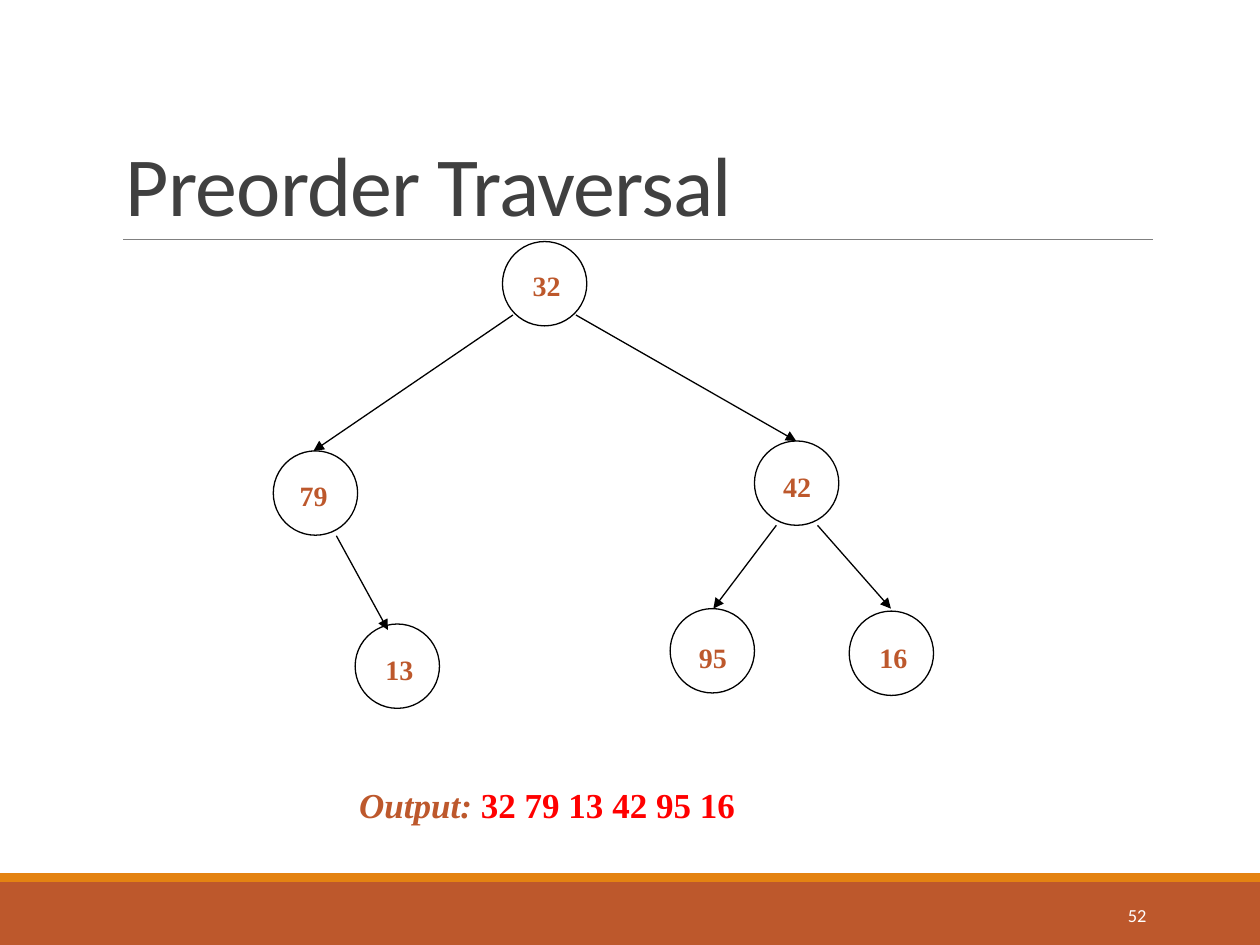
"""Build a slide showing the preorder traversal of a binary tree."""
from lxml.etree import SubElement
from pptx import Presentation
from pptx.dml.color import RGBColor
from pptx.enum.shapes import MSO_CONNECTOR, MSO_SHAPE
from pptx.enum.text import MSO_ANCHOR, MSO_AUTO_SIZE, PP_ALIGN
from pptx.oxml.ns import qn
from pptx.util import Cm, Pt

RUST, ORANGE, BLACK, RED = "BD582C", "E48312", "000000", "FF0000"
SERIF, SANS = "Times New Roman", "Calibri"
DIAMETER = 1.7

BANDS = [(17.78, 1.27, RUST), (17.6, 0.18, ORANGE)]
NODES = [
    ("32", (10.13, 4.87), (10.49, 5.28)),
    ("79", (5.51, 9.09), (5.79, 9.53)),
    ("42", (15.21, 8.89), (15.54, 9.35)),
    ("13", (7.16, 12.58), (7.52, 13.03)),
    ("95", (13.51, 12.27), (13.84, 12.78)),
    ("16", (17.12, 12.32), (17.48, 12.78)),
]
EDGES = [
    ((10.34, 6.35), (6.32, 9.09)),
    ((11.61, 6.35), (16.05, 8.89)),
    ((6.78, 10.8), (7.82, 12.7)),
    ((15.65, 10.59), (14.38, 12.27)),
    ((16.48, 10.59), (17.96, 12.27)),
]


def color(value):
    return RGBColor.from_string(value)


def add_shape(slide, kind, box, fill=None):
    shape = slide.shapes.add_shape(kind, *map(Cm, box))
    shape.shadow.inherit = False
    if fill:
        shape.fill.solid()
        shape.fill.fore_color.rgb = color(fill)
        shape.line.fill.background()
    else:
        shape.fill.background()
        shape.line.color.rgb = color(BLACK)
        shape.line.width = Pt(0.75)


def add_line(slide, start, end, line_color, width, arrow=False):
    connector = slide.shapes.add_connector(
        MSO_CONNECTOR.STRAIGHT, *map(Cm, start + end))
    connector.line.color.rgb = color(line_color)
    connector.line.width = Pt(width)
    if arrow:
        SubElement(connector.line._get_or_add_ln(), qn("a:tailEnd"), type="triangle")
    SubElement(connector._element.spPr, qn("a:effectLst"))


def add_text(slide, box, text, font_name, size, text_color, bold=False,
             wrap=False, anchor=MSO_ANCHOR.TOP):
    frame = slide.shapes.add_textbox(*map(Cm, box)).text_frame
    frame.word_wrap = wrap
    frame.auto_size = MSO_AUTO_SIZE.NONE if wrap else MSO_AUTO_SIZE.SHAPE_TO_FIT_TEXT
    frame.vertical_anchor = anchor
    paragraph = frame.paragraphs[0]
    paragraph.add_run().text = text
    font = paragraph.font
    font.name, font.size, font.bold = font_name, Pt(size), bold
    font.color.rgb = color(text_color)
    return paragraph


def main():
    presentation = Presentation()
    presentation.slide_width, presentation.slide_height = Cm(25.4), Cm(19.05)
    slide = presentation.slides.add_slide(presentation.slide_layouts[6])

    for top, height, fill in BANDS:
        add_shape(slide, MSO_SHAPE.RECTANGLE, (0, top, 25.4, height), fill)
    add_line(slide, (2.48, 4.83), (23.24, 4.83), "808080", 0.5)

    title = add_text(slide, (2.29, 0.79, 20.96, 4.04), "Preorder Traversal", SANS, 48,
                     "404040", wrap=True, anchor=MSO_ANCHOR.BOTTOM)
    title.line_spacing = 0.85
    title.runs[0].font._element.set("spc", "-50")
    number = add_text(slide, (20.62, 17.93, 2.74, 1.02), "52", SANS, 10.5, "FFFFFF",
                      wrap=True, anchor=MSO_ANCHOR.MIDDLE)
    number.alignment = PP_ALIGN.RIGHT

    for value, circle, label in NODES:
        add_shape(slide, MSO_SHAPE.OVAL, circle + (DIAMETER, DIAMETER))
        add_text(slide, label + (1.07, 0.94), value, SERIF, 16, RUST, bold=True)
    for start, end in EDGES:
        add_line(slide, start, end, BLACK, 0.75, arrow=True)

    output = add_text(slide, (6.99, 15.67, 9.6, 1.27), "Output: ", SERIF, 20, RUST, bold=True)
    output.runs[0].font.italic = True
    result = output.add_run()
    result.text = "32 79 13 42 95 16"
    result.font.color.rgb = color(RED)

    presentation.save("out.pptx")


if __name__ == "__main__":
    main()
